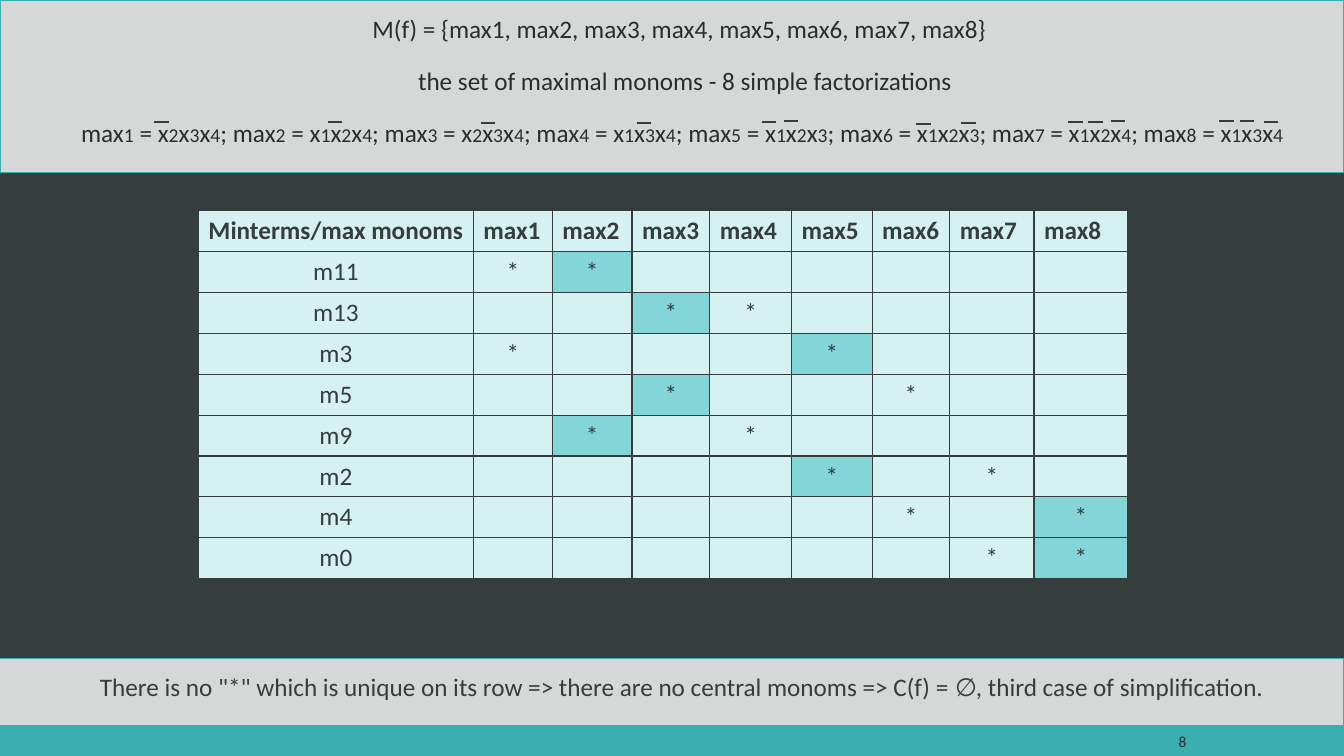
"""Build the slide on maximal monoms and their table of covered minterms."""
import pptx
import pptx.dml.color
import pptx.enum.shapes
import pptx.enum.text
import pptx.oxml
import pptx.oxml.ns
import pptx.util
from pptx.util import Cm

DARK, INK, TEAL = "363D3D", "282E2E", "3AAFB2"
CELL, CHOSEN_CELL = "D6F1F2", "83D5D7"
NAMESPACE = pptx.oxml.ns.nsdecls("a")
CENTER = pptx.enum.text.PP_ALIGN.CENTER
RECTANGLE = pptx.enum.shapes.MSO_SHAPE.RECTANGLE


def color(value):
    return pptx.dml.color.RGBColor.from_string(value)


def add_run(paragraph, text, size=18, ink=DARK, bold=False):
    run = paragraph.add_run()
    run.text = text
    run.font.name = "Calibri"
    run.font.size = pptx.util.Pt(size)
    run.font.bold = bold
    run.font.color.rgb = color(ink)


presentation = pptx.Presentation()
presentation.slide_width, presentation.slide_height = Cm(33.87), Cm(19.05)
slide = presentation.slides.add_slide(presentation.slide_layouts[0])
slide.background.fill.solid()
slide.background.fill.fore_color.rgb = color(DARK)
title = slide.shapes.title
title.element.getparent().remove(title.element)

footer = slide.shapes.add_shape(RECTANGLE, 0, Cm(18.29), Cm(33.87), Cm(0.76))
footer.shadow.inherit = False
footer.fill.solid()
footer.fill.fore_color.rgb = color(TEAL)
footer.line.fill.background()

monom_band = slide.placeholders[1]
monom_band.left, monom_band.top = 0, 0
monom_band.width, monom_band.height = Cm(33.87), Cm(4.34)
conclusion_band = slide.shapes.add_shape(RECTANGLE, 0, Cm(16.59), Cm(33.87), Cm(1.7))
conclusion_band.shadow.inherit = False

for band, paragraph_count in ((monom_band, 3), (conclusion_band, 1)):
    band.fill.solid()
    band.fill.fore_color.rgb = color("FFFFFF")
    fill_color = band.fill._xPr.find(".//" + pptx.oxml.ns.qn("a:srgbClr"))
    fill_color.append(pptx.oxml.parse_xml(f'<a:alpha {NAMESPACE} val="80000"/>'))
    band.line.color.rgb = color(TEAL)
    band.line.width = pptx.util.Pt(0.75)
    frame = band.text_frame
    frame.word_wrap = True
    frame.auto_size = pptx.enum.text.MSO_AUTO_SIZE.NONE
    frame.vertical_anchor = pptx.enum.text.MSO_ANCHOR.TOP
    frame.margin_left, frame.margin_top = Cm(0.51), Cm(0.41)
    frame.margin_right, frame.margin_bottom = 0, Cm(0.13)
    for index in range(paragraph_count):
        paragraph = frame.add_paragraph() if index else frame.paragraphs[0]
        paragraph.alignment = CENTER
        paragraph.line_spacing = 0.9
        paragraph.space_before = pptx.util.Pt(18 if index else 0)

set_line, count_line, monom_line = monom_band.text_frame.paragraphs
add_run(set_line, "M(f) = {max1, max2, max3, max4, max5, max6, max7, max8} ", ink=INK)
add_run(count_line, " the set of maximal monoms - 8 simple factorizations", ink=INK)
monoms = ["234", "124", "234", "134", "123", "123", "124", "134"]
for number, variables in enumerate(monoms, start=1):
    add_run(monom_line, "; max" if number > 1 else "max", ink=INK)
    add_run(monom_line, str(number), 14, INK)
    for position, variable in enumerate(variables):
        add_run(monom_line, "x" if position else " = x", ink=INK)
        add_run(monom_line, variable, 14, INK)

add_run(
    conclusion_band.text_frame.paragraphs[0],
    'There is no "*" which is unique on its row => there are no central monoms'
    " => C(f) = ∅, third case of simplification.",
)

negation_bars = [
    (3.89, 3.07), (8.26, 3.07), (12.12, 3.1), (16.05, 3.1), (19.2, 3.07),
    (19.76, 3.05), (23.09, 3.12), (24.23, 3.1), (26.92, 3.07), (27.43, 3.07),
    (27.99, 3.05), (30.73, 3.05), (31.24, 3.05), (31.85, 3.07),
]
for left, top in negation_bars:
    bar = slide.shapes.add_connector(
        pptx.enum.shapes.MSO_CONNECTOR.STRAIGHT, Cm(left), Cm(top), Cm(left + 0.36), Cm(top)
    )
    bar.line.color.rgb = color(DARK)
    bar.line.width = pptx.util.Pt(1.5)
    bar.element.spPr.append(pptx.oxml.parse_xml(f"<a:effectLst {NAMESPACE}/>"))

column_widths = [6.93, 1.99, 2.01, 1.96, 2.06, 2.03, 1.96, 2.12, 2.36]
covering_monoms = {
    "m11": (1, 2), "m13": (3, 4), "m3": (1, 5), "m5": (3, 6),
    "m9": (2, 4), "m2": (5, 7), "m4": (6, 8), "m0": (7, 8),
}
chosen_monoms = (2, 3, 5, 8)
rows = [["Minterms/max monoms"] + [f"max{number}" for number in range(1, 9)]]
for minterm, covering in covering_monoms.items():
    rows.append([minterm] + ["*" if number in covering else "" for number in range(1, 9)])

table = slide.shapes.add_table(
    len(rows), len(column_widths), Cm(5), Cm(5.31), Cm(sum(column_widths)), Cm(1.03 * len(rows))
).table
for column, width in zip(table.columns, column_widths):
    column.width = Cm(width)
for row_index, texts in enumerate(rows):
    table.rows[row_index].height = Cm(1.03)
    for column_index, text in enumerate(texts):
        cell = table.cell(row_index, column_index)
        cell_properties = cell._tc.get_or_add_tcPr()
        for side in "LRTB":
            cell_properties.append(pptx.oxml.parse_xml(
                f'<a:ln{side} {NAMESPACE} w="12700"><a:solidFill>'
                f'<a:srgbClr val="{DARK}"/></a:solidFill></a:ln{side}>'
            ))
        chosen = text == "*" and column_index in chosen_monoms
        cell.fill.solid()
        cell.fill.fore_color.rgb = color(CHOSEN_CELL if chosen else CELL)
        if text:
            paragraph = cell.text_frame.paragraphs[0]
            if row_index:
                paragraph.alignment = CENTER
            add_run(paragraph, text, bold=row_index == 0)

page_number = slide.shapes.add_textbox(Cm(28.37), Cm(18.34), Cm(1.78), Cm(0.66))
page_number.text_frame.word_wrap = True
page_number.text_frame.vertical_anchor = pptx.enum.text.MSO_ANCHOR.MIDDLE
paragraph = page_number.text_frame.paragraphs[0]
paragraph.alignment = pptx.enum.text.PP_ALIGN.RIGHT
add_run(paragraph, "8", 11, INK)

presentation.save("out.pptx")
